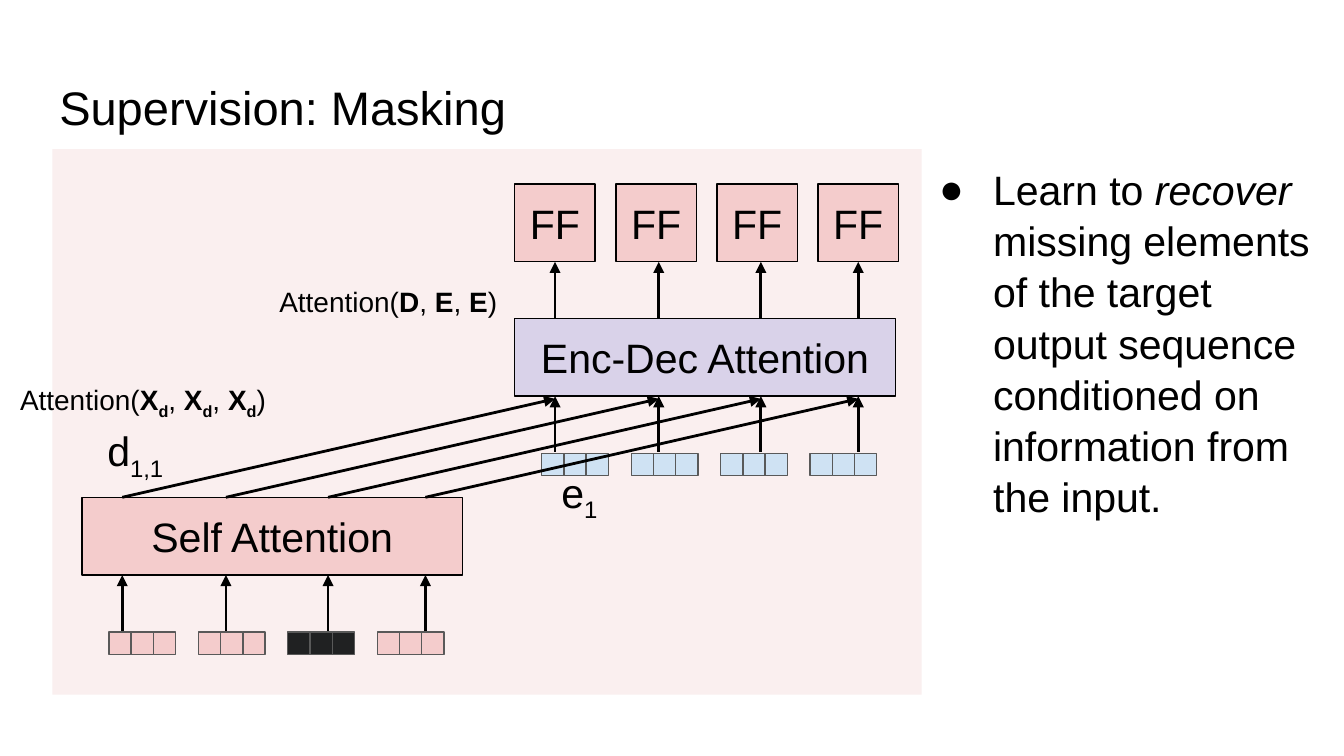
from dataclasses import dataclass

from lxml.etree import SubElement
from pptx import Presentation
from pptx.dml.color import RGBColor
from pptx.enum.shapes import MSO_CONNECTOR, MSO_SHAPE
from pptx.enum.text import MSO_ANCHOR, MSO_AUTO_SIZE, PP_ALIGN
from pptx.oxml.ns import qn
from pptx.util import Cm, Pt

COLORS = {
    "panel": "FAEFEF", "decoder": "F4CCCC", "cross": "D9D2E9",
    "encoder": "CFE2F3", "masked": "202122", "cell_line": "595959",
    "black": "000000", "white": "FFFFFF",
}
FONT = "Arial"
INSET = 0.25

# Lengths in cm; the columns are measured from the left of an attention box
COLUMNS = (0.76, 2.72, 4.65, 6.49)
BOX_W, BOX_H = 7.19, 1.47
FF_W, FF_PITCH, FF_TOP = 1.52, 1.91, 3.48
CELL, TOKEN_PITCH = 0.42, 1.69
TOKEN_DX, TOKEN_DY = 0.51, 2.55


@dataclass
class Block:
    text: str
    left: float
    top: float
    color: str
    tokens: tuple[str, ...]


@dataclass
class Label:
    left: float
    top: float
    width: float
    height: float
    size: float
    runs: tuple[tuple[str, str], ...]  # text and style: b, i, sub


CROSS = Block("Enc-Dec Attention", 9.73, 6.02, "cross", ("encoder",) * 4)
SELF = Block("Self Attention", 1.55, 9.4, "decoder",
             ("decoder", "decoder", "masked", "decoder"))

XD = (("X", "b"), ("d", "b sub"))
LABELS = (
    Label(10.36, 8.59, 1.47, 1.45, 22, (("e", ""), ("1", "sub"))),
    Label(1.78, 7.8, 1.68, 1.45, 22, (("d", ""), ("1,1", "sub"))),
    Label(5.03, 5.13, 6.65, 1.14, 15,
          (("Attention(", ""), ("D", "b"), (", ", ""), ("E", "b"),
           (", ", ""), ("E", "b"), (")", ""))),
    Label(0.13, 6.99, 6.65, 1.14, 15,
          (("Attention(", ""), *XD, (", ", ""), *XD, (", ", ""), *XD,
           (")", ""))),
)
BODY = Label(17.25, 2.82, 8.15, 7.09, 22, (
    ("Learn to ", ""), ("recover", "i"),
    (" missing elements of the target output sequence conditioned on "
     "information from the input.", "")))


def rgb(name: str) -> RGBColor:
    return RGBColor.from_string(COLORS[name])


def style_run(r, size: float, style: str = "") -> None:
    marks = style.split()
    r.font.name, r.font.size = FONT, Pt(size)
    r.font.color.rgb = rgb("black")
    r.font.bold, r.font.italic = "b" in marks, "i" in marks
    if "sub" in marks:
        r.font._element.set("baseline", "-25000")


def set_insets(tf) -> None:
    tf.margin_left = tf.margin_right = Cm(INSET)
    tf.margin_top = tf.margin_bottom = Cm(INSET)


def add_box(shapes, left: float, top: float, width: float, height: float,
            fill: str, line: str | None = None, text: str = ""):
    sp = shapes.add_shape(MSO_SHAPE.RECTANGLE, Cm(left), Cm(top),
                          Cm(width), Cm(height))
    sp.shadow.inherit = False
    sp.fill.solid()
    sp.fill.fore_color.rgb = rgb(fill)
    if line:
        sp.line.color.rgb = rgb(line)
        sp.line.width = Pt(0.75)
    else:
        sp.line.fill.background()
    if text:
        tf = sp.text_frame
        set_insets(tf)
        tf.vertical_anchor = MSO_ANCHOR.MIDDLE
        tf.text = text
        p = tf.paragraphs[0]
        p.alignment = PP_ALIGN.CENTER
        style_run(p.runs[0], 22)
    return sp


def add_arrow(shapes, x1: float, y1: float, x2: float, y2: float):
    cx = shapes.add_connector(MSO_CONNECTOR.STRAIGHT,
                              Cm(x1), Cm(y1), Cm(x2), Cm(y2))
    cx.line.color.rgb = rgb("black")
    cx.line.width = Pt(1.5)
    SubElement(cx.line._get_or_add_ln(), qn("a:tailEnd"), type="triangle")
    SubElement(cx._element.spPr, qn("a:effectLst"))
    return cx


def add_block(shapes, block: Block) -> None:
    """Draw an attention box with its input arrows and token vectors."""
    bottom, token_top = block.top + BOX_H, block.top + TOKEN_DY
    for dx in COLUMNS:
        x = block.left + dx
        add_arrow(shapes, x, token_top - 0.03, x, bottom)
    group = shapes.add_group_shape()
    for i, color in enumerate(block.tokens):
        for j in range(3):
            left = block.left + TOKEN_DX + i * TOKEN_PITCH + j * CELL
            add_box(group.shapes, left, token_top, CELL, CELL, color,
                    "cell_line")
    add_box(shapes, block.left, block.top, BOX_W, BOX_H, block.color,
            "black", block.text)


def add_label(shapes, label: Label):
    tf = shapes.add_textbox(Cm(label.left), Cm(label.top), Cm(label.width),
                            Cm(label.height)).text_frame
    tf.word_wrap = True
    tf.auto_size = MSO_AUTO_SIZE.SHAPE_TO_FIT_TEXT
    set_insets(tf)
    p = tf.paragraphs[0]
    for text, style in label.runs:
        r = p.add_run()
        r.text = text
        style_run(r, label.size, style)
    return p


def add_bullet(p) -> None:
    pPr = p._p.get_or_add_pPr()
    pPr.set("marL", str(Cm(1.27)))
    pPr.set("indent", str(-Cm(1.02)))
    color = SubElement(pPr, qn("a:buClr"))
    SubElement(color, qn("a:srgbClr"), val=COLORS["black"])
    SubElement(pPr, qn("a:buFont"), typeface=FONT)
    SubElement(pPr, qn("a:buChar"), char="●")


def main() -> None:
    prs = Presentation()
    prs.slide_width, prs.slide_height = Cm(25.4), Cm(14.29)
    s = prs.slides.add_slide(prs.slide_layouts[5])
    s.background.fill.solid()
    s.background.fill.fore_color.rgb = rgb("white")

    # Title
    title = s.shapes.title
    title.left, title.top = Cm(0.87), Cm(1.24)
    title.width, title.height = Cm(23.67), Cm(1.6)
    tf = title.text_frame
    tf.text = "Supervision: Masking"
    tf.auto_size = MSO_AUTO_SIZE.NONE
    tf.vertical_anchor = MSO_ANCHOR.TOP
    set_insets(tf)
    tf.paragraphs[0].alignment = PP_ALIGN.LEFT
    style_run(tf.paragraphs[0].runs[0], 25.2)

    # Panel and feed-forward boxes
    add_box(s.shapes, 0.99, 2.82, 16.43, 10.31, "panel")
    ff_boxes = [add_box(s.shapes, CROSS.left + i * FF_PITCH, FF_TOP, FF_W,
                        BOX_H, "decoder", "black", "FF") for i in range(4)]

    # Attention blocks
    add_block(s.shapes, CROSS)
    add_block(s.shapes, SELF)

    # Arrows up to the feed-forward boxes; the outer two meet their middles
    for i, (dx, ff) in enumerate(zip(COLUMNS, ff_boxes)):
        x = CROSS.left + dx
        cx = add_arrow(s.shapes, x, CROSS.top, x, FF_TOP + BOX_H)
        if i in (0, 3):
            cx.end_connect(ff, 2)

    # Arrows from self attention to encoder-decoder attention
    for dx in COLUMNS:
        add_arrow(s.shapes, SELF.left + dx, SELF.top,
                  CROSS.left + dx, CROSS.top + BOX_H + 0.05)

    # Explanation and labels
    p = add_label(s.shapes, BODY)
    add_bullet(p)
    p.line_spacing = 1.04
    for label in LABELS:
        add_label(s.shapes, label)

    prs.save("out.pptx")


if __name__ == "__main__":
    main()
